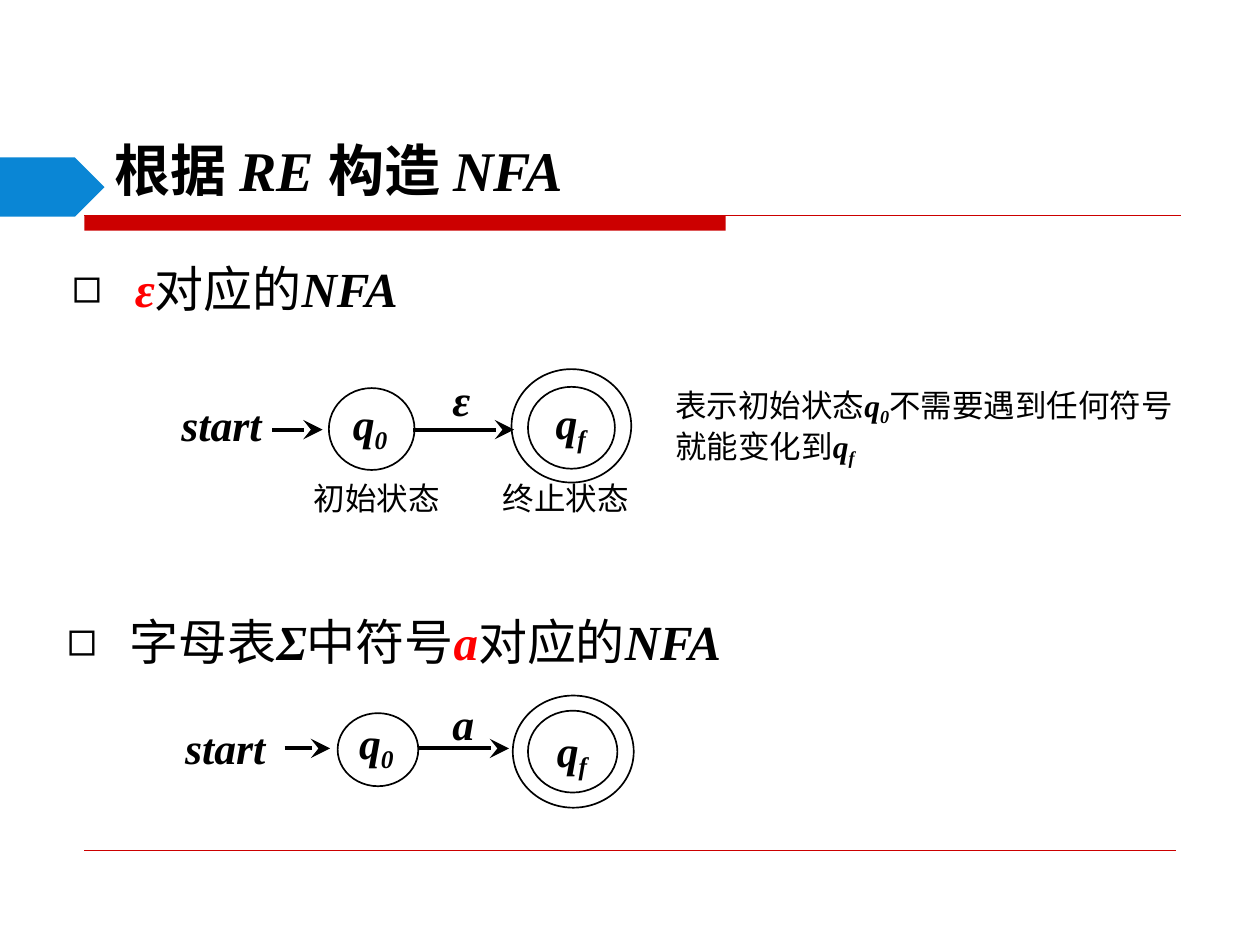
"""Build the slide on turning basic regular expressions into NFAs."""
from lxml import etree
from pptx import Presentation
from pptx.dml.color import RGBColor
from pptx.enum.shapes import MSO_CONNECTOR, MSO_SHAPE
from pptx.enum.text import MSO_ANCHOR, MSO_AUTO_SIZE, PP_ALIGN
from pptx.oxml import parse_xml
from pptx.oxml.ns import nsdecls, qn
from pptx.util import Inches, Pt

BLACK = RGBColor(0, 0, 0)
RED = RGBColor(0xFF, 0, 0)
BRICK = RGBColor(0xCC, 0, 0)
BLUE = RGBColor(0x0A, 0x86, 0xD5)
FONT = "Times New Roman"
OVAL, RECT, TAG = MSO_SHAPE.OVAL, MSO_SHAPE.RECTANGLE, MSO_SHAPE.PENTAGON
LINE = MSO_CONNECTOR.STRAIGHT
LEFT, BASE, TOP = PP_ALIGN.LEFT, MSO_ANCHOR.BOTTOM, MSO_ANCHOR.TOP
FIXED = MSO_AUTO_SIZE.NONE

deck = Presentation()
deck.slide_width, deck.slide_height = Inches(10), Inches(7.5)
COL, ROW = deck.slide_width / 100, deck.slide_height / 75
slide = deck.slides.add_slide(deck.slide_layouts[3])
shapes = slide.shapes


def write(shape, box, size, parts, pad=0):
    """Place a text shape and fill it with runs; marks are b, i, r(ed), s(ub)."""
    shape.left, shape.width = int(box[0] * COL), int(box[2] * COL)
    shape.top, shape.height = int(box[1] * ROW), int(box[3] * ROW)
    frame = shape.text_frame
    frame.auto_size, frame.word_wrap = FIXED, True
    frame.margin_left = frame.margin_right = int(pad * COL)
    frame.margin_top = frame.margin_bottom = int(pad * ROW / 2)
    para = frame.paragraphs[0]
    para.alignment, para.space_before = LEFT, Pt(0)
    for word, marks in parts:
        run = para.add_run()
        run.text = word
        font = run.font
        font.name, font.size = FONT, Pt(size)
        font.bold, font.italic = "b" in marks, "i" in marks
        font.color.rgb = RED if "r" in marks else BLACK
        if "s" in marks:
            run._r.get_or_add_rPr().set("baseline", "-20000")
    return frame


def draw(x1, y1, x2, y2, color, width, head=False):
    """Draw a straight line, with an arrowhead on request."""
    line = shapes.add_connector(LINE, int(x1 * COL), int(y1 * ROW), int(x2 * COL), int(y2 * ROW))
    line.line.color.rgb, line.line.width = color, Pt(width)
    props = line._element.spPr
    if head:
        etree.SubElement(props.find(qn("a:ln")), qn("a:tailEnd"), type="stealth", w="lg", len="lg")
    etree.SubElement(props, qn("a:effectLst"))


for kind, color, x, y, w, h in (
    (RECT, BRICK, 6.7, 17.1, 50.9, 1.2),
    (TAG, BLUE, 0, 12.5, 8.3, 4.7),
):
    block = shapes.add_shape(kind, int(x * COL), int(y * ROW), int(w * COL), int(h * ROW))
    block.shadow.inherit = False
    block.fill.solid()
    block.fill.fore_color.rgb = color
    block.line.fill.background()
draw(6.7, 17.1, 93.7, 17.1, BRICK, 0.75)
draw(6.7, 67.5, 93.3, 67.5, BRICK, 0.25)

title, *lists = slide.placeholders
words = (("根据 ", "b"), ("RE ", "bi"), ("构造 ", "b"), ("NFA", "bi"))
frame = write(title, (5.1, 6.1, 87.5, 10.5), 32, words, 1)
frame.vertical_anchor = BASE
frame.paragraphs[0]._p.get_or_add_pPr().set("marL", str(Inches(0.3)))

items = (
    ((5.6, 20.5, 35, 4.7), (("ε", "bir"), ("对应的", ""), ("NFA", "bi"))),
    ((5.2, 48.5, 55.5, 15.1), (("字母表", ""), ("Σ", "bi"), ("中符号", ""), ("a", "bir"), ("对应的", ""), ("NFA", "bi"))),
)
for item, (box, parts) in zip(lists, items):
    frame = write(item, box, 28, parts)
    frame.vertical_anchor = TOP
    props = frame.paragraphs[0]._p.get_or_add_pPr()
    props.set("marL", str(Inches(0.51)))
    props.set("indent", str(Inches(-0.5)))
    props.append(parse_xml(f'<a:buClr {nsdecls("a")}><a:srgbClr val="{BLACK}"/></a:buClr>'))
    etree.SubElement(props, qn("a:buChar"), char="◻")

ovals = (
    (26.1, 30.8, 6.8, 6.5), (41.9, 30.7, 6.9, 6.5), (40.6, 29.3, 9.5, 9),
    (26.8, 56.6, 6.4, 5.8), (41.9, 56.4, 7.1, 6.5), (40.7, 55.2, 9.6, 8.9),
)
for x, y, w, h in ovals:
    ring = shapes.add_shape(OVAL, int(x * COL), int(y * ROW), int(w * COL), int(h * ROW))
    ring.shadow.inherit = False
    ring.fill.background()
    ring.line.color.rgb, ring.line.width = BLACK, Pt(0.96)

for x1, x2, y in ((21.6, 25.6, 34.1), (32.8, 40.8, 34.1), (22.6, 26.2, 59.4), (33.2, 40.4, 59.4)):
    draw(x1, y, x2, y, BLACK, 2.2, True)

first = (("q", "bi"), ("0", "bis"))
last = (("q", "bi"), ("f", "bis"))
start = (("start", "bi"),)
note = (("表示初始状态", ""), *first, ("不需要遇到任何符号就能变化到", ""), *last)
texts = (
    (14.4, 31.6, 7.5, 25, start), (28, 31.5, 4, 25, first),
    (35.9, 29.6, 3, 25, (("ε", "bi"),)), (44.1, 31.4, 4, 25, last),
    (14.7, 57.2, 7.5, 25, start), (28.5, 56.8, 4, 25, first),
    (35.9, 55.3, 3, 25, (("a", "bi"),)), (44.2, 57.4, 4, 25, last),
    (24.9, 38, 12, 18, (("初始状态", ""),)), (39.9, 38, 12, 18, (("终止状态", ""),)),
    (53.6, 30.6, 41.3, 18, note),
)
for x, y, w, size, parts in texts:
    write(shapes.add_textbox(0, 0, 0, 0), (x, y, w, 4.5 if parts != note else 9.9), size, parts)

deck.save("out.pptx")
